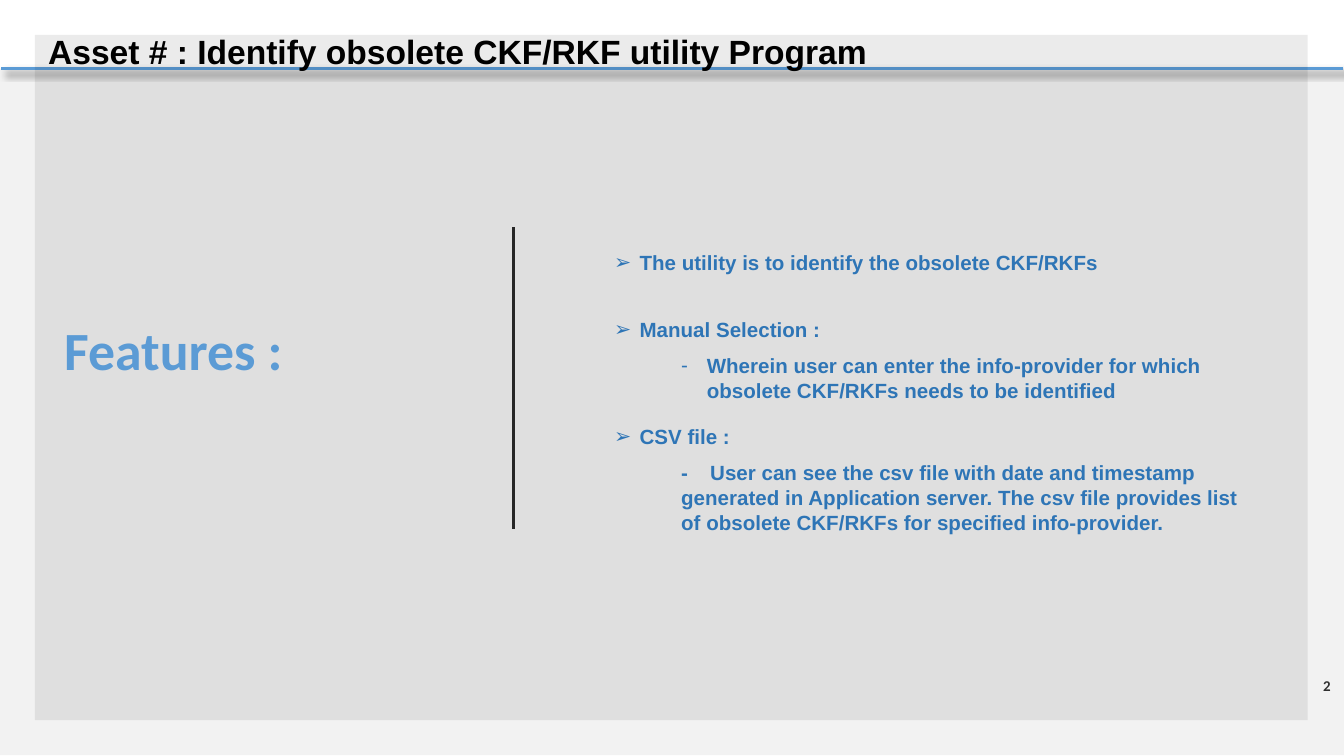
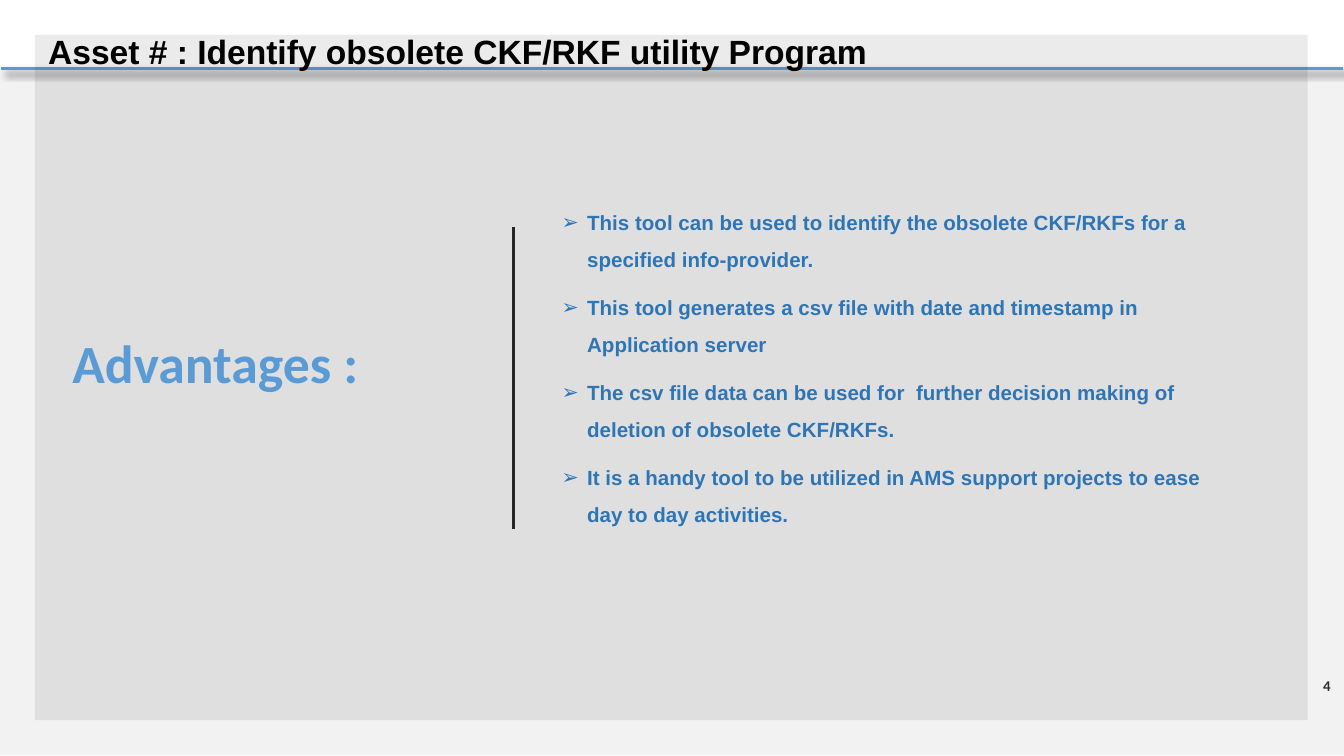
from dataclasses import dataclass

from lxml import etree
from pptx import Presentation
from pptx.dml.color import RGBColor
from pptx.enum.shapes import MSO_CONNECTOR, MSO_SHAPE
from pptx.enum.text import MSO_ANCHOR, MSO_AUTO_SIZE, PP_ALIGN
from pptx.oxml.ns import qn
from pptx.util import Inches, Pt

RECT = MSO_SHAPE.RECTANGLE
STRAIGHT = MSO_CONNECTOR.STRAIGHT
TOP, MIDDLE, BOTTOM = MSO_ANCHOR.TOP, MSO_ANCHOR.MIDDLE, MSO_ANCHOR.BOTTOM
RIGHT = PP_ALIGN.RIGHT
GROW = MSO_AUTO_SIZE.SHAPE_TO_FIT_TEXT


@dataclass(frozen=True)
class Theme:
    """Colours, fonts and type sizes of the deck."""
    black: str = "000000"
    band: str = "F2F2F2"
    accent: str = "5B9BD5"
    body: str = "2E75B6"
    divider: str = "262626"
    heading_font: str = "Calibri"
    body_font: str = "Arial"
    title_size: float = 18
    heading_size: float = 28.8
    body_size: float = 11
    number_size: float = 8


THEME = Theme()
TITLE = "Asset # : Identify obsolete CKF/RKF utility Program"
TITLE_FONT = (THEME.body_font, THEME.title_size, THEME.black)
HEADING_FONT = (THEME.heading_font, THEME.heading_size, THEME.accent)
BODY_FONT = (THEME.body_font, THEME.body_size, THEME.body)
NUMBER_FONT = (THEME.heading_font, THEME.number_size, THEME.black)

POINT = {"bullet": "➢", "margin": 0.19, "indent": -0.19,
         "line_spacing": 0.9, "space_after": Pt(6)}
DETAIL = {"bullet": "-", "margin": 0.69, "indent": -0.19}
NOTE = {"margin": 0.5}
WIDE_POINT = {**POINT, "line_spacing": 1.5}

FEATURES = [
    ("The utility is to identify the obsolete CKF/RKFs",
     {**POINT, "space_after": Pt(24)}),
    ("Manual Selection :", POINT),
    ("Wherein user can enter the info-provider for which obsolete CKF/RKFs "
     "needs to be identified", {**DETAIL, "space_after": Pt(13)}),
    ("CSV file :", POINT),
    ("User can see the csv file with date and timestamp generated in "
     "Application server. The csv file provides list of obsolete CKF/RKFs "
     "for specified info-provider.", {**NOTE, "lead": "- "}),
]
ADVANTAGES = [(text, WIDE_POINT) for text in (
    "This tool can be used to identify the obsolete CKF/RKFs for a specified "
    "info-provider.",
    "This tool generates a csv file with date and timestamp in Application server",
    "The csv file data can be used for  further decision making of deletion of "
    "obsolete CKF/RKFs.",
    "It is a handy tool to be utilized in AMS support projects to ease day to "
    "day activities.",
)]


def set_alpha(color, percent):
    """Make a colour element partly transparent."""
    etree.SubElement(color, qn("a:alpha"), val=str(percent * 1000))


def add_panel(s, box, color, alpha=None):
    """Add a flat rectangle."""
    panel = s.shapes.add_shape(RECT, *map(Inches, box))
    panel.shadow.inherit = False
    panel.line.fill.background()
    panel.fill.solid()
    panel.fill.fore_color.rgb = RGBColor.from_string(color)
    if alpha:
        set_alpha(panel._element.spPr.find(qn("a:solidFill"))[0], alpha)


def add_line(s, ends, color, width, shadow=False):
    """Add a straight line, with a soft shadow if asked."""
    line = s.shapes.add_connector(STRAIGHT, *map(Inches, ends))
    line.line.color.rgb = RGBColor.from_string(color)
    line.line.width = Pt(width)
    effects = etree.SubElement(line._element.spPr, qn("a:effectLst"))
    if shadow:
        outer = etree.SubElement(effects, qn("a:outerShdw"), blurRad=str(Pt(4)),
                                 dist=str(Pt(3)), dir=str(45 * 60000))
        set_alpha(etree.SubElement(outer, qn("a:srgbClr"), val=THEME.black), 40)


def add_run(p, text, font):
    """Add a bold run in the given font, size and colour."""
    r = p.add_run()
    r.text = text
    name, size, color = font
    for key, value in {"name": name, "size": Pt(size), "bold": True}.items():
        setattr(r.font, key, value)
    r.font.color.rgb = RGBColor.from_string(color)
    return r


def format_paragraph(p, bullet=None, margin=0, indent=0, **values):
    """Apply spacing, indents and a bullet to a paragraph."""
    for key, value in values.items():
        setattr(p, key, value)
    pPr = p._p.get_or_add_pPr()
    pPr.set("marL", str(Inches(margin)))
    pPr.set("indent", str(Inches(indent)))
    if bullet:
        etree.SubElement(pPr, qn("a:buFont"), typeface=THEME.body_font)
        etree.SubElement(pPr, qn("a:buChar"), char=bullet)


def add_text(s, box, items, font, **frame):
    """Add a wrapped text box with one paragraph per item."""
    tf = s.shapes.add_textbox(*map(Inches, box)).text_frame
    for key, value in {"word_wrap": True, "vertical_anchor": MIDDLE, **frame}.items():
        setattr(tf, key, value)
    for i, (text, style) in enumerate(items):
        p = tf.add_paragraph() if i else tf.paragraphs[0]
        style = dict(style)
        lead = style.pop("lead", None)
        format_paragraph(p, **style)
        if lead:
            add_run(p, lead, font)._r.get_or_add_rPr().set("spc", "440")
        add_run(p, text, font)
    return tf


def add_number(s, number):
    """Add the slide number at the right edge."""
    tf = add_text(s, (9.36, 4.95, 0.64, 0.3),
                  [(number, {"alignment": RIGHT, "space_after": Pt(6)})], NUMBER_FONT)
    set_alpha(tf.paragraphs[0].runs[0]._r.rPr.find(qn("a:solidFill"))[0], 80)


def add_base(prs, number):
    """Add a slide with the shared band, panel, lines, title and number."""
    s = prs.slides.add_slide(prs.slide_layouts[6])
    add_panel(s, (0, 0.51, 10, 5.11), THEME.band)
    add_line(s, (9.99, 0.51, 0.01, 0.51), THEME.accent, 1.75, shadow=True)
    add_panel(s, (0.26, 0.26, 9.47, 5.1), THEME.black, alpha=8)
    add_line(s, (3.82, 1.69, 3.82, 3.94), THEME.divider, 1.5)
    add_text(s, (0.26, 0.27, 9.3, 0.41), [(TITLE, {})], TITLE_FONT,
             vertical_anchor=BOTTOM, margin_top=0, margin_bottom=Inches(0.15))
    add_number(s, number)
    return s


def add_heading(s, left, top, text):
    """Add the large heading left of the divider."""
    add_text(s, (left, top, 9.3, 0.41), [(text, {"line_spacing": 0.9})], HEADING_FONT)


def main():
    """Build and save the deck."""
    prs = Presentation()
    prs.slide_width = Inches(10)
    prs.slide_height = prs.slide_width * 9 // 16

    s = add_base(prs, "2")
    add_heading(s, 0.38, 2.42, "Features :")
    add_text(s, (4.47, 1.81, 4.85, 2.24), FEATURES, BODY_FONT)

    s = add_base(prs, "4")
    add_heading(s, 0.44, 2.52, "Advantages :")
    add_text(s, (4.08, 1.42, 5.12, 2.87), ADVANTAGES, BODY_FONT,
             vertical_anchor=TOP, auto_size=GROW)

    prs.save("out.pptx")


if __name__ == "__main__":
    main()
